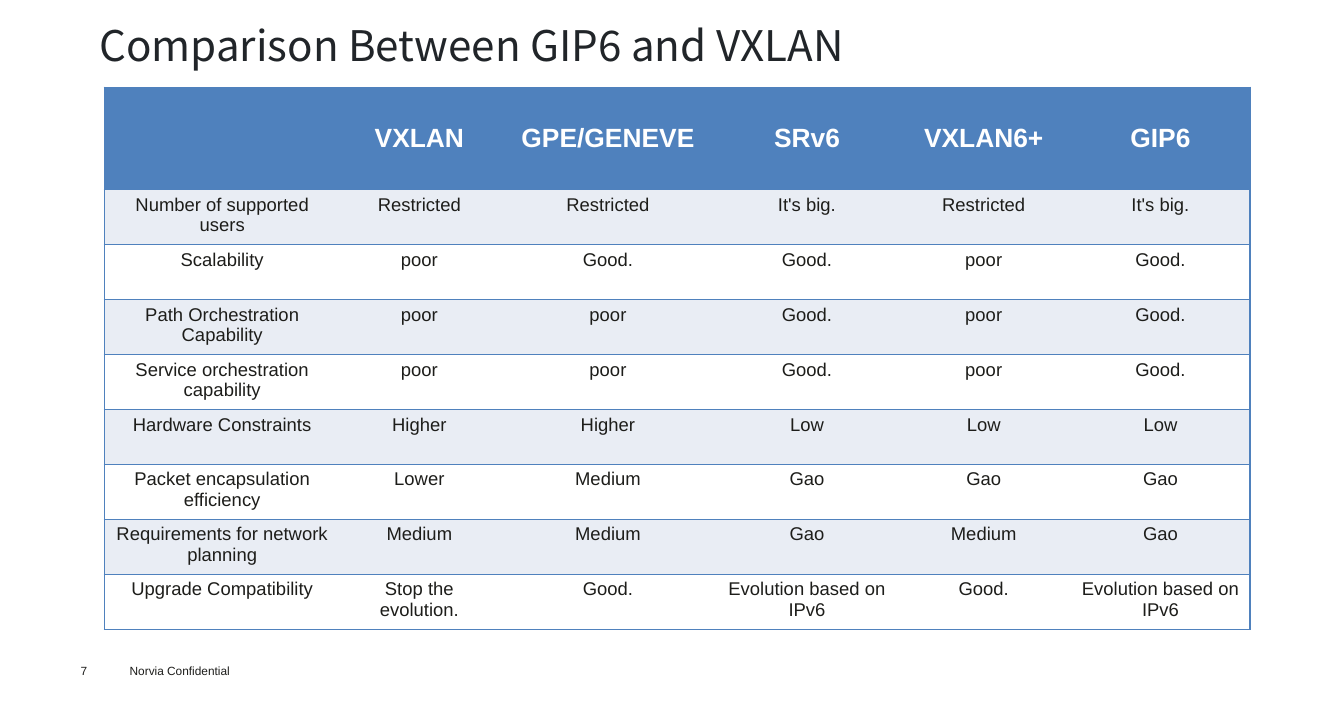
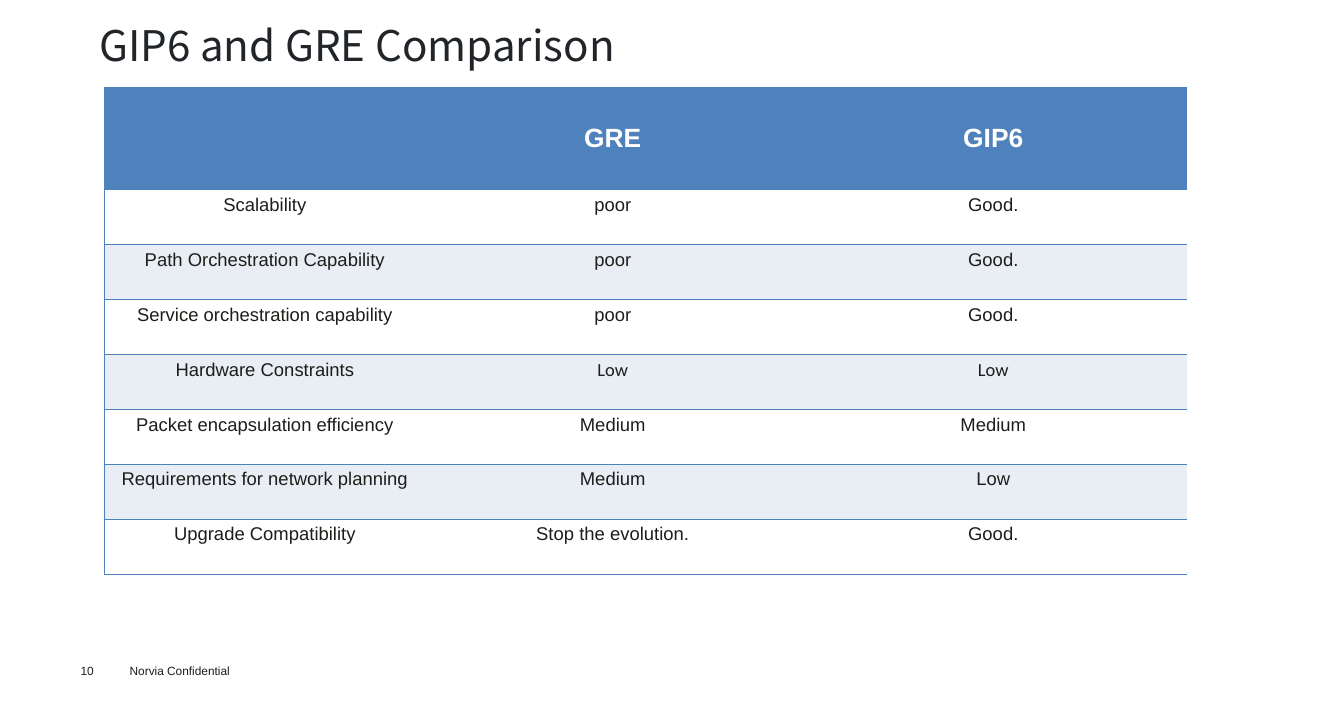
from lxml import etree
from pptx import Presentation, util as u
from pptx.dml.color import RGBColor
from pptx.enum import text as t
from pptx.oxml import ns

WIDE, HIGH = 14.18, 7.5
LEFT, TOP, HEAD, ROW = 1.1, 0.92, 1.08, 0.58
BLUE, PALE, WHITE = "4F81BD", "E9EDF4", "FFFFFF"
INK, DARK, GREY = "1D1D1A", "212529", "1D1D1B"
SANS, TITLE, ALT = "Arial", "Noto Sans CJK SC", "Calibri"
OWNER = "Norvia Confidential"

SLIDES = [
    dict(
        title="Comparison Between GIP6 and VXLAN", page=7,
        cols=[2.49, 1.67, 2.31, 1.89, 1.84, 1.89],
        shade=1, edge=True, alt=[],
        rows=[
            ("", "VXLAN", "GPE/GENEVE", "SRv6", "VXLAN6+", "GIP6"),
            ("Number of supported users", "Restricted", "Restricted",
             "It's big.", "Restricted", "It's big."),
            ("Scalability", "poor", "Good.", "Good.", "poor", "Good."),
            ("Path Orchestration Capability",
             "poor", "poor", "Good.", "poor", "Good."),
            ("Service orchestration capability",
             "poor", "poor", "Good.", "poor", "Good."),
            ("Hardware Constraints", "Higher", "Higher", "Low", "Low", "Low"),
            ("Packet encapsulation efficiency",
             "Lower", "Medium", "Gao", "Gao", "Gao"),
            ("Requirements for network planning",
             "Medium", "Medium", "Gao", "Medium", "Gao"),
            ("Upgrade Compatibility", "Stop the evolution.", "Good.",
             "Evolution based on IPv6", "Good.", "Evolution based on IPv6"),
        ],
    ),
    dict(
        title="GIP6 and GRE Comparison", page=10,
        cols=[3.39, 3.95, 4.08],
        shade=0, edge=False, alt=[(4, 1), (4, 2)],
        rows=[
            ("", "GRE", "GIP6"),
            ("Scalability", "poor", "Good."),
            ("Path Orchestration Capability", "poor", "Good."),
            ("Service orchestration capability", "poor", "Good."),
            ("Hardware Constraints", "Low", "Low"),
            ("Packet encapsulation efficiency", "Medium", "Medium"),
            ("Requirements for network planning", "Medium", "Low"),
            ("Upgrade Compatibility", "Stop the evolution.", "Good."),
        ],
    ),
]


def color(code):
    return RGBColor.from_string(code)


def style(par, size, face, code, bold=False):
    font = par.font
    font.size, font.name, font.bold = u.Pt(size), face, bold
    font.color.rgb = color(code)


def label(slide, words, box, size, face, code, inset=True):
    frame = slide.shapes.add_textbox(*map(u.Inches, box)).text_frame
    frame.word_wrap = True
    frame.vertical_anchor = t.MSO_ANCHOR.MIDDLE
    if not inset:
        frame.margin_left = frame.margin_right = 0
        frame.margin_top = frame.margin_bottom = 0
    par = frame.paragraphs[0]
    par.text = words
    style(par, size, face, code)
    return par


def border(cell, sides):
    props = cell._tc.get_or_add_tcPr()
    for spot, side in enumerate("LRTB"):
        line = etree.Element(ns.qn("a:ln" + side), w=str(u.Pt(1)))
        if side in sides:
            fill = etree.SubElement(line, ns.qn("a:solidFill"))
            etree.SubElement(fill, ns.qn("a:srgbClr"), val=BLUE)
        else:
            etree.SubElement(line, ns.qn("a:noFill"))
        props.insert(spot, line)


def grid(slide, data):
    rows, cols = data["rows"], data["cols"]
    highs = [HEAD] + [ROW] * (len(rows) - 1)
    box = map(u.Inches, (LEFT, TOP, sum(cols), sum(highs)))
    table = slide.shapes.add_table(len(rows), len(cols), *box).table
    for col, wide in zip(table.columns, cols):
        col.width = u.Inches(wide)
    for row, high in zip(table.rows, highs):
        row.height = u.Inches(high)
    for r, row in enumerate(rows):
        for c, words in enumerate(row):
            cell = table.cell(r, c)
            par = cell.text_frame.paragraphs[0]
            par.alignment = t.PP_ALIGN.CENTER
            par.text = words
            if r == 0:
                back = BLUE
                cell.vertical_anchor = t.MSO_ANCHOR.MIDDLE
                style(par, 20, SANS, WHITE, True)
            else:
                back = PALE if r % 2 == data["shade"] else WHITE
                style(par, 14, ALT if (r, c) in data["alt"] else SANS, INK)
            cell.fill.solid()
            cell.fill.fore_color.rgb = color(back)
            sides = "TB" + ("L" if c == 0 else "")
            if data["edge"] and c == len(cols) - 1:
                sides += "R"
            border(cell, sides)


def main():
    deck = Presentation()
    deck.slide_width, deck.slide_height = u.Inches(WIDE), u.Inches(HIGH)
    for data in SLIDES:
        slide = deck.slides.add_slide(deck.slide_layouts[6])
        label(slide, OWNER, (1.27, 6.95, 1.7, 0.25), 9, SANS, GREY)
        label(slide, str(data["page"]), (0.85, 7, 0.58, 0.15),
              9, SANS, GREY, False)
        head = label(slide, data["title"], (0.95, 0.21, 12.28, 0.59),
                     32, TITLE, DARK)
        head.line_spacing = 0.9
        grid(slide, data)
    deck.save("out.pptx")


if __name__ == "__main__":
    main()
